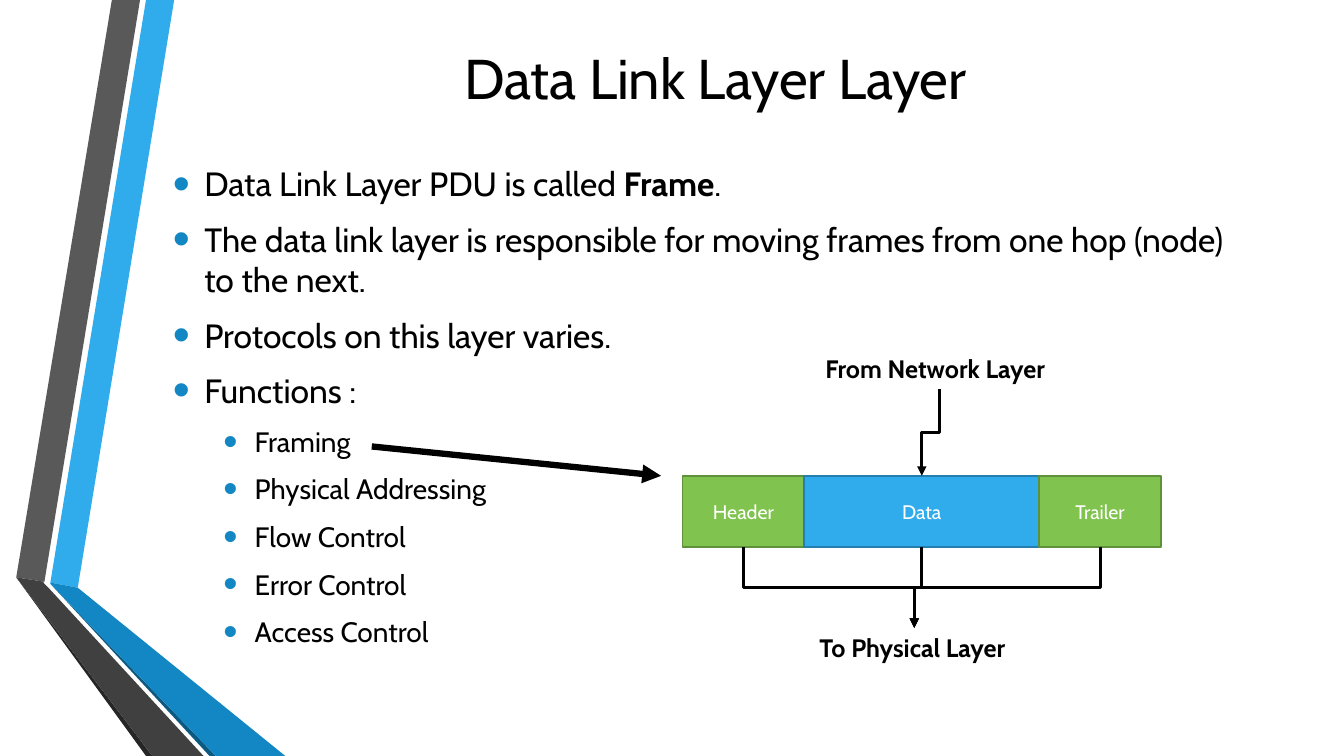
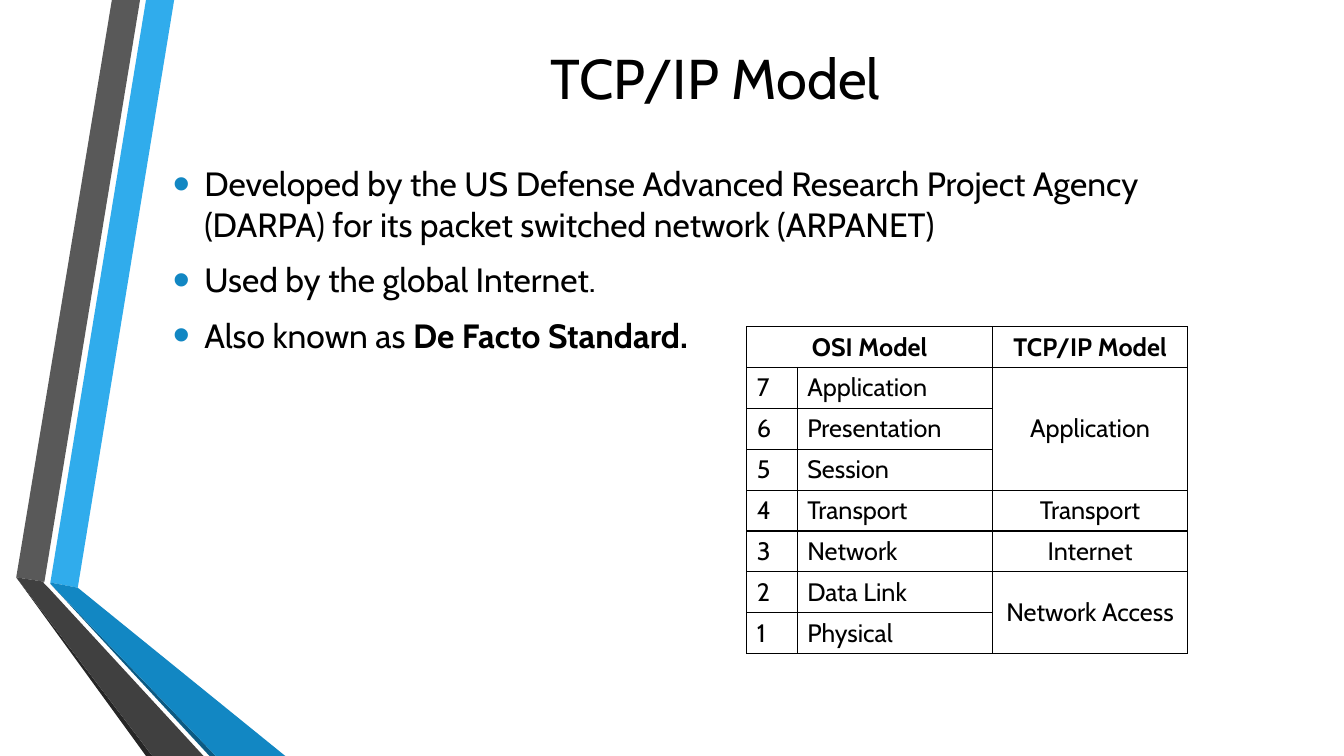
from lxml.etree import SubElement
from pptx import Presentation
from pptx.dml.color import RGBColor
from pptx.enum.shapes import MSO_CONNECTOR, MSO_SHAPE
from pptx.enum.text import MSO_ANCHOR, MSO_AUTO_SIZE, PP_ALIGN
from pptx.oxml.ns import qn
from pptx.util import Cm, Pt

BLACK = RGBColor(0x00, 0x00, 0x00)
WHITE = RGBColor(0xFF, 0xFF, 0xFF)
SKY = RGBColor(0x30, 0xAC, 0xEC)
BLUE = RGBColor(0x12, 0x87, 0xC3)
NAVY = RGBColor(0x0C, 0x5A, 0x82)
STEEL = RGBColor(0x24, 0x7F, 0xAF)
GREEN = RGBColor(0x80, 0xC3, 0x4F)
MOSS = RGBColor(0x5F, 0x90, 0x3A)
GREY = RGBColor(0x59, 0x59, 0x59)
DARK = RGBColor(0x40, 0x40, 0x40)
COAL = RGBColor(0x26, 0x26, 0x26)

FONT = "Cabin"
WIDE, HIGH = 33.87, 19.05

# Folded ribbons on the left, as corner points in cm
BANDS = [
    (SKY, [(1.27, 14.68), (1.96, 14.81), (4.39, 0), (3.68, 0)]),
    (GREY, [(3.53, 0), (2.82, 0), (0.41, 14.55), (1.12, 14.66)]),
    (COAL, [(0.41, 14.55), (3.68, HIGH), (3.84, HIGH)]),
    (NAVY, [(1.27, 14.71), (5.28, HIGH), (5.44, HIGH)]),
    (BLUE, [(1.27, 14.71), (5.44, HIGH), (7.19, HIGH), (1.96, 14.81),
            (1.27, 14.68)]),
    (DARK, [(5.13, HIGH), (1.22, 14.81), (1.09, 14.68), (1.12, 14.66),
            (0.41, 14.55), (3.84, HIGH)]),
]


class Deck:
    def __init__(self):
        self.prs = Presentation()
        self.prs.slide_width, self.prs.slide_height = Cm(WIDE), Cm(HIGH)
        self.shapes = None

    def page(self, title):
        """Start a slide with the ribbons and a title."""
        slide = self.prs.slides.add_slide(self.prs.slide_layouts[6])
        self.shapes = slide.shapes
        for fill, dots in BANDS:
            self.band(fill, dots)
        frame = self.text(4.11, 0.91, 27.84, 2.06)
        frame.vertical_anchor = MSO_ANCHOR.MIDDLE
        para = frame.paragraphs[0]
        para.alignment = PP_ALIGN.CENTER
        self.run(para, title, 40)

    def band(self, fill, dots):
        pts = [(Cm(x), Cm(y)) for x, y in dots]
        pen = self.shapes.build_freeform(*pts[0])
        pen.add_line_segments(pts[1:], close=True)
        shape = pen.convert_to_shape()
        shape.shadow.inherit = False
        shape.fill.solid()
        shape.fill.fore_color.rgb = fill
        shape.line.fill.background()

    def run(self, para, text, size, bold=False, color=BLACK):
        run = para.add_run()
        run.text = text
        font = run.font
        font.name, font.size, font.bold = FONT, Pt(size), bold
        font.color.rgb = color

    def text(self, x, y, w, h):
        box = self.shapes.add_textbox(Cm(x), Cm(y), Cm(w), Cm(h))
        box.text_frame.word_wrap = True
        return box.text_frame

    def label(self, x, y, w, text):
        frame = self.text(x, y, w, 1.02)
        frame.word_wrap = False
        frame.auto_size = MSO_AUTO_SIZE.SHAPE_TO_FIT_TEXT
        self.run(frame.paragraphs[0], text, 18, True)

    def body(self, h, items):
        """Items are (level, runs); every second run is bold."""
        frame = self.text(4.11, 3.99, 27.58, h)
        for i, (level, runs) in enumerate(items):
            para = frame.add_paragraph() if i else frame.paragraphs[0]
            size = 20 if level else 24
            para.level = level
            para.space_before = Pt(size * 0.2 if i else 0)
            para.space_after = Pt(6)
            self.bullet(para, 2.06 if level else 0.79)
            for j, text in enumerate(runs):
                self.run(para, text, size, j % 2 == 1)

    def bullet(self, para, left):
        props = para._p.get_or_add_pPr()
        props.set("marL", str(Cm(left)))
        props.set("indent", str(-Cm(0.79)))
        tint = SubElement(props, qn("a:buClr"))
        SubElement(tint, qn("a:srgbClr"), val=str(BLUE))
        SubElement(props, qn("a:buSzPct"), val="145000")
        SubElement(props, qn("a:buFont"), typeface="Arial")
        SubElement(props, qn("a:buChar"), char="•")

    def box(self, x, y, w, h, text, fill, edge):
        shape = self.shapes.add_shape(
            MSO_SHAPE.RECTANGLE, Cm(x), Cm(y), Cm(w), Cm(h))
        shape.shadow.inherit = False
        shape.fill.solid()
        shape.fill.fore_color.rgb = fill
        shape.line.color.rgb = edge
        shape.line.width = Pt(1.25)
        frame = shape.text_frame
        frame.vertical_anchor = MSO_ANCHOR.MIDDLE
        para = frame.paragraphs[0]
        para.alignment = PP_ALIGN.CENTER
        self.run(para, text, 14, color=WHITE)

    def arrow(self, x1, y1, x2, y2, width, kind=MSO_CONNECTOR.STRAIGHT):
        link = self.shapes.add_connector(kind, Cm(x1), Cm(y1), Cm(x2), Cm(y2))
        link.line.color.rgb = BLACK
        link.line.width = Pt(width)
        SubElement(link.line._get_or_add_ln(), qn("a:tailEnd"),
                   type="triangle")
        props = link._element.spPr
        SubElement(props, qn("a:effectLst"))
        return props.find(qn("a:xfrm"))

    def elbow(self, x1, y1, x2, y2):
        """Run down, across and down: a level elbow turned a quarter."""
        mid, cen = (x1 + x2) / 2, (y1 + y2) / 2
        dx, dy = abs(x2 - x1) / 2, (y2 - y1) / 2
        side = 1 if x2 < x1 else -1
        form = self.arrow(mid - side * dy, cen - dx, mid + side * dy,
                          cen + dx, 2.25, MSO_CONNECTOR.ELBOW)
        form.set("rot", str((90 if side > 0 else 270) * 60000))

    def table(self, x, y, cols, tall, rows, spans):
        grid = self.shapes.add_table(
            len(rows), len(cols), Cm(x), Cm(y), Cm(sum(cols)),
            Cm(tall * len(rows))).table
        grid.first_row = grid.horz_banding = False
        for col, w in zip(grid.columns, cols):
            col.width = Cm(w)
        for r, texts in enumerate(rows):
            grid.rows[r].height = Cm(tall)
            for c, text in enumerate(texts):
                self.cell(grid.cell(r, c), text, r == 0, r == 0 or c == 2,
                          r > 0 and c != 1)
        for first, last in spans:
            grid.cell(*first).merge(grid.cell(*last))

    def cell(self, cell, text, bold, center, middle):
        if text:
            para = cell.text_frame.paragraphs[0]
            para.alignment = PP_ALIGN.CENTER if center else PP_ALIGN.LEFT
            self.run(para, text, 18, bold)
        cell.vertical_anchor = MSO_ANCHOR.MIDDLE if middle else MSO_ANCHOR.TOP
        props = cell._tc.get_or_add_tcPr()
        for side in ("lnL", "lnR", "lnT", "lnB"):
            line = SubElement(props, qn("a:" + side), w=str(Pt(1)))
            fill = SubElement(line, qn("a:solidFill"))
            SubElement(fill, qn("a:srgbClr"), val=str(BLACK))
        cell.fill.background()


def link_page(deck):
    deck.page("Data Link Layer Layer")
    tasks = ["Framing", "Physical Addressing", "Flow Control",
             "Error Control", "Access Control"]
    deck.body(12.88, [
        (0, ["Data Link Layer PDU is called ", "Frame", "."]),
        (0, ["The data link layer is responsible for moving frames from "
             "one hop (node) to the next."]),
        (0, ["Protocols on this layer varies."]),
        (0, ["Functions :"]),
    ] + [(1, [task]) for task in tasks])
    deck.label(20.55, 8.79, 6.22, "From Network Layer")
    deck.label(20.4, 15.82, 5.28, "To Physical Layer")

    # Frame parts, each with an elbow down to the physical layer
    x, top, tall = 17.2, 11.99, 1.8
    for text, w, fill, edge in [("Header", 3.07, GREEN, MOSS),
                                ("Data", 5.92, SKY, STEEL),
                                ("Trailer", 3.07, GREEN, MOSS)]:
        deck.box(x, top, w, tall, text, fill, edge)
        deck.elbow(x + w / 2, top + tall, 23.04, 15.82)
        x += w
    deck.elbow(23.67, 9.8, 23.23, top)
    deck.arrow(9.37, 11.25, 16.66, top, 4.5)


def model_page(deck):
    deck.page("TCP/IP Model")
    deck.body(10.44, [
        (0, ["Developed by the US Defense Advanced Research Project Agency "
             "(DARPA) for its packet switched network (ARPANET)"]),
        (0, ["Used by the global Internet."]),
        (0, ["Also known as ", "De Facto Standard."]),
    ])
    rows = [
        ("OSI Model", "", "TCP/IP Model"),
        ("7", "Application", "Application"),
        ("6", "Presentation", ""),
        ("5", "Session", ""),
        ("4", "Transport", "Transport"),
        ("3", "Network", "Internet"),
        ("2", "Data Link", "Network Access"),
        ("1", "Physical", ""),
    ]
    spans = [((0, 0), (0, 1)), ((1, 2), (3, 2)), ((6, 2), (7, 2))]
    deck.table(18.82, 8.23, [1.27, 4.92, 4.92], 1.03, rows, spans)


def main():
    deck = Deck()
    link_page(deck)
    model_page(deck)
    deck.prs.save("out.pptx")


if __name__ == "__main__":
    main()
